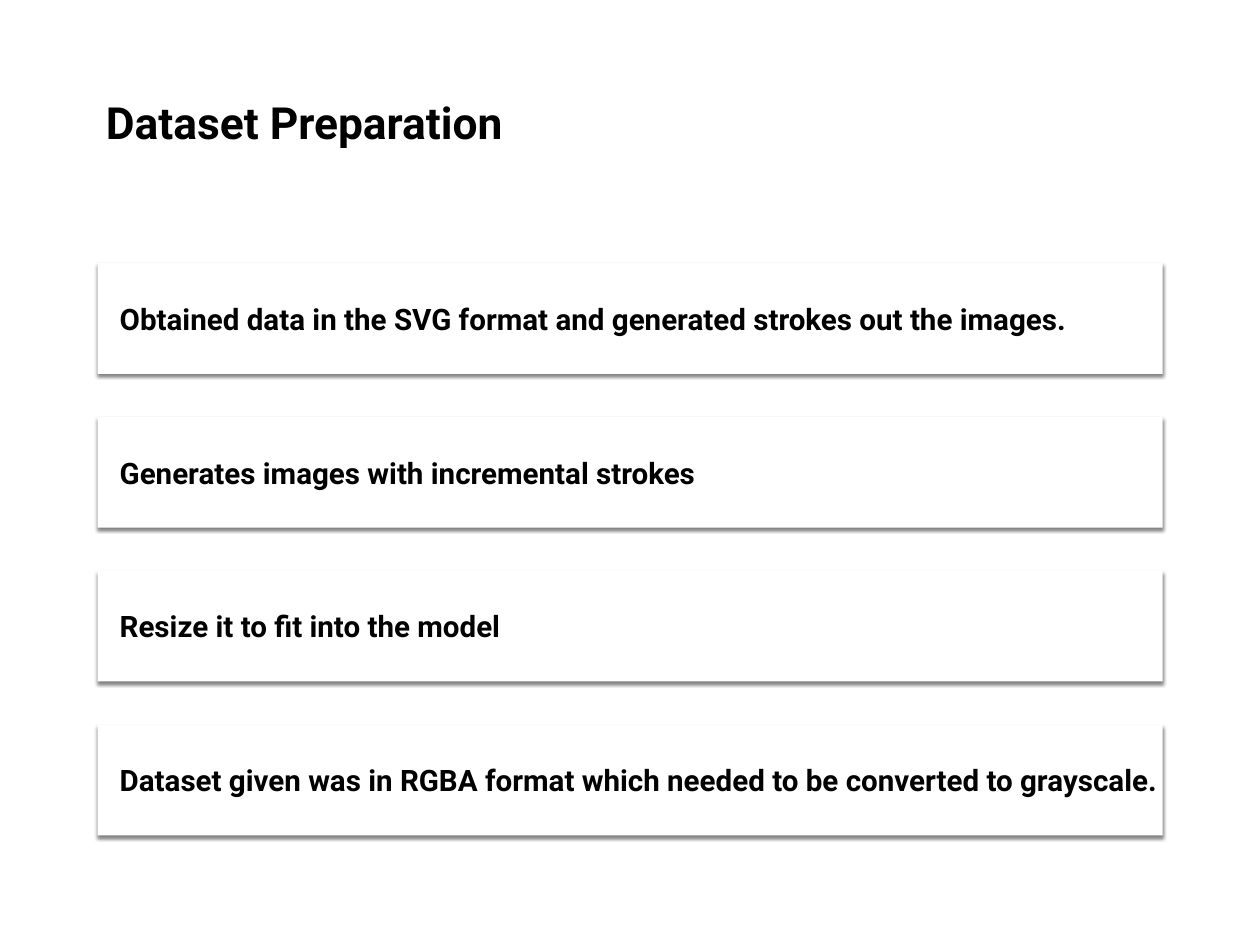
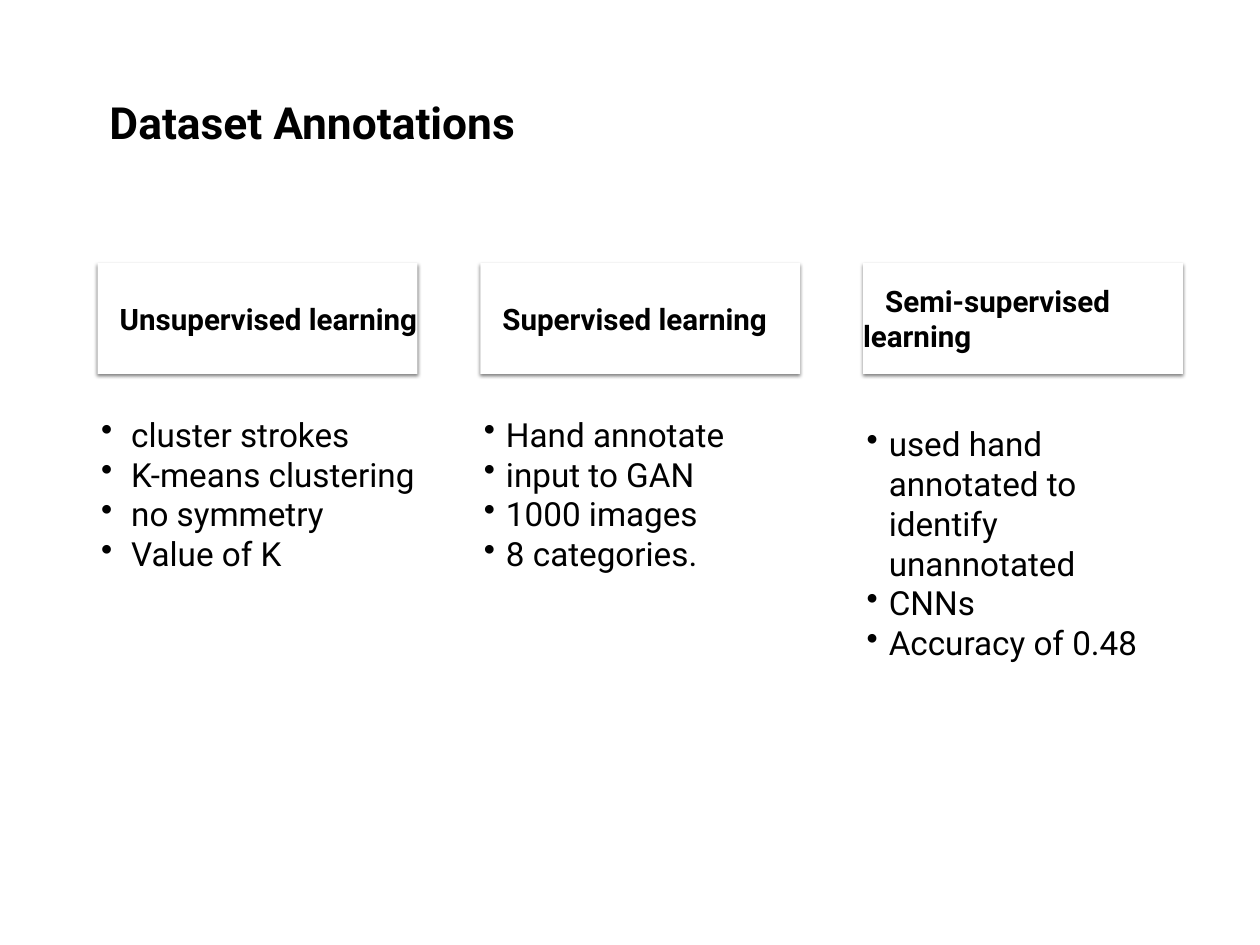
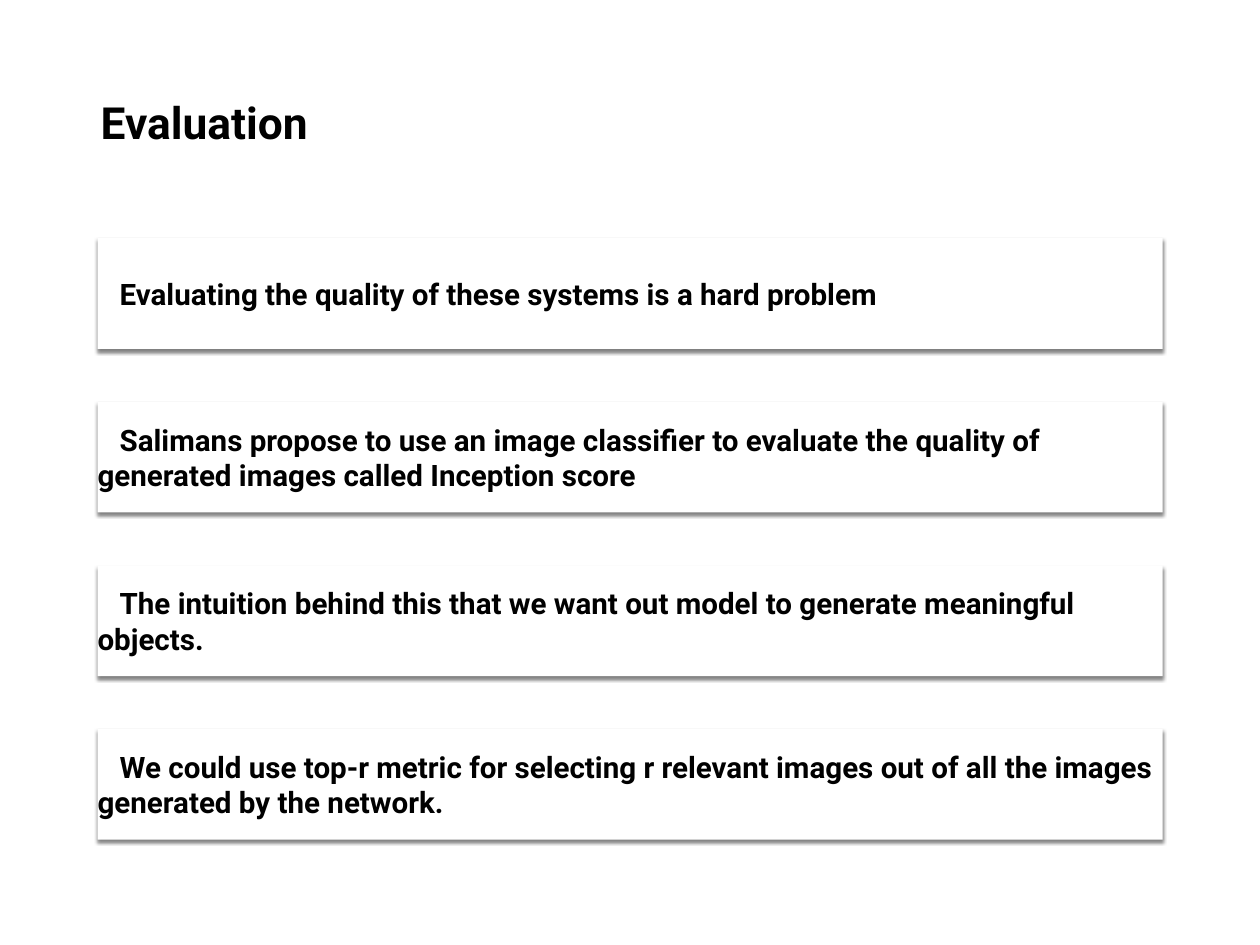
from lxml.etree import SubElement as Sub
from pptx import Presentation
from pptx.dml.color import RGBColor
from pptx.enum.shapes import MSO_SHAPE as Shape
from pptx.enum.text import MSO_ANCHOR as Anchor, PP_ALIGN as Align
from pptx.oxml.ns import qn
from pptx.util import Inches, Pt

BLACK = RGBColor(0, 0, 0)
WHITE = RGBColor(255, 255, 255)
FONT = "Roboto"
WIDE, HIGH = Inches(14.22), Inches(10.67)

# Boxes are (left, top, width, height) in percent of the slide.
LEFT, FULL, CARD = 7.74, 84.53, 11.72
STEP, THIRD = 30.38, 25.39


def place(box):
    return [round(part * side / 100)
            for part, side in zip(box, (WIDE, HIGH, WIDE, HIGH))]


def fill(frame, lines, size, bold=False, pad=0.0, align=Align.LEFT):
    frame.text = "\n".join(lines)
    frame.vertical_anchor = Anchor.MIDDLE
    frame.margin_left = frame.margin_right = Inches(pad)
    frame.margin_top = frame.margin_bottom = Inches(pad)
    for para in frame.paragraphs:
        para.alignment = align
        for run in para.runs:
            font = run.font
            font.name, font.size, font.bold = FONT, Pt(size), bold
            font.color.rgb = BLACK


def indent(para, left, first):
    props = para._p.get_or_add_pPr()
    props.set("marL", str(Inches(left)))
    props.set("indent", str(Inches(first)))
    return props


def shade(shape):
    """Give the shape a soft shadow that falls straight down."""
    shape.shadow.inherit = False
    effects = shape._element.spPr.find(qn("a:effectLst"))
    outer = Sub(effects, qn("a:outerShdw"), blurRad=str(Pt(3)),
                dist=str(Pt(2)), dir="5400000", rotWithShape="0")
    color = Sub(outer, qn("a:srgbClr"), val=str(BLACK))
    Sub(color, qn("a:alpha"), val="50000")


def add_page(deck, title, left, width):
    slide = deck.slides.add_slide(deck.slide_layouts[6])
    head = slide.shapes.add_textbox(*place((left, 9.56, width, 6.65)))
    fill(head.text_frame, [title], 36, True, 0.06, Align.CENTER)
    head.text_frame.word_wrap = False
    return slide


def add_card(slide, text, box):
    card = slide.shapes.add_shape(Shape.RECTANGLE, *place(box))
    card.fill.solid()
    card.fill.fore_color.rgb = WHITE
    card.line.fill.background()
    shade(card)
    fill(card.text_frame, [text], 24, True)
    card.text_frame.word_wrap = True
    indent(card.text_frame.paragraphs[0], 0, 0.25)


def add_list(slide, items, box, hang):
    body = slide.shapes.add_textbox(*place(box))
    frame = body.text_frame
    fill(frame, items, 27, pad=0.06)
    frame.word_wrap = True
    for para in frame.paragraphs:
        Sub(indent(para, hang, -hang), qn("a:buChar"), char="•")


def add_stack(slide, texts, top, step):
    for row, text in enumerate(texts):
        add_card(slide, text, (LEFT, top + row * step, FULL, CARD))


def add_trio(slide, topics):
    for col, (name, items, top, width, height, hang) in enumerate(topics):
        left = LEFT + col * STEP
        add_card(slide, name, (left, 27.84, THIRD, CARD))
        add_list(slide, items, (left - 0.14, top, width, height), hang)


STEPS = [
    "Obtained data in the SVG format and generated strokes out the images.",
    "Generates images with incremental strokes",
    "Resize it to fit into the model",
    "Dataset given was in RGBA format which needed to be converted to "
    "grayscale.",
]
TOPICS = [
    ("Unsupervised learning",
     ["cluster strokes", "K-means clustering", "no symmetry", "Value of K"],
     43.39, 26.79, 17.71, 0.34),
    ("Supervised learning",
     ["Hand annotate", "input to GAN", "1000 images", "8 categories."],
     43.39, 25.67, 17.71, 0.25),
    ("Semi-supervised learning",
     ["used hand annotated to identify unannotated", "CNNs",
      "Accuracy of 0.48"],
     44.42, 25.67, 26.05, 0.25),
]
POINTS = [
    "Evaluating the quality of these systems is a hard problem",
    "Salimans propose to use an image classifier to evaluate the quality of "
    "generated images called Inception score",
    "The intuition behind this that we want out model to generate meaningful "
    "objects.",
    "We could use top-r metric for selecting r relevant images out of all "
    "the images generated by the network.",
]


def main():
    deck = Presentation()
    deck.slide_width, deck.slide_height = WIDE, HIGH
    add_stack(add_page(deck, "Dataset Preparation", 7.1, 34.11),
              STEPS, 27.84, 16.28)
    add_trio(add_page(deck, "Dataset Annotations", 7.31, 34.95), TOPICS)
    add_stack(add_page(deck, "Evaluation", 6.89, 18.64),
              POINTS, 25.21, 17.31)
    deck.save("out.pptx")


if __name__ == "__main__":
    main()
